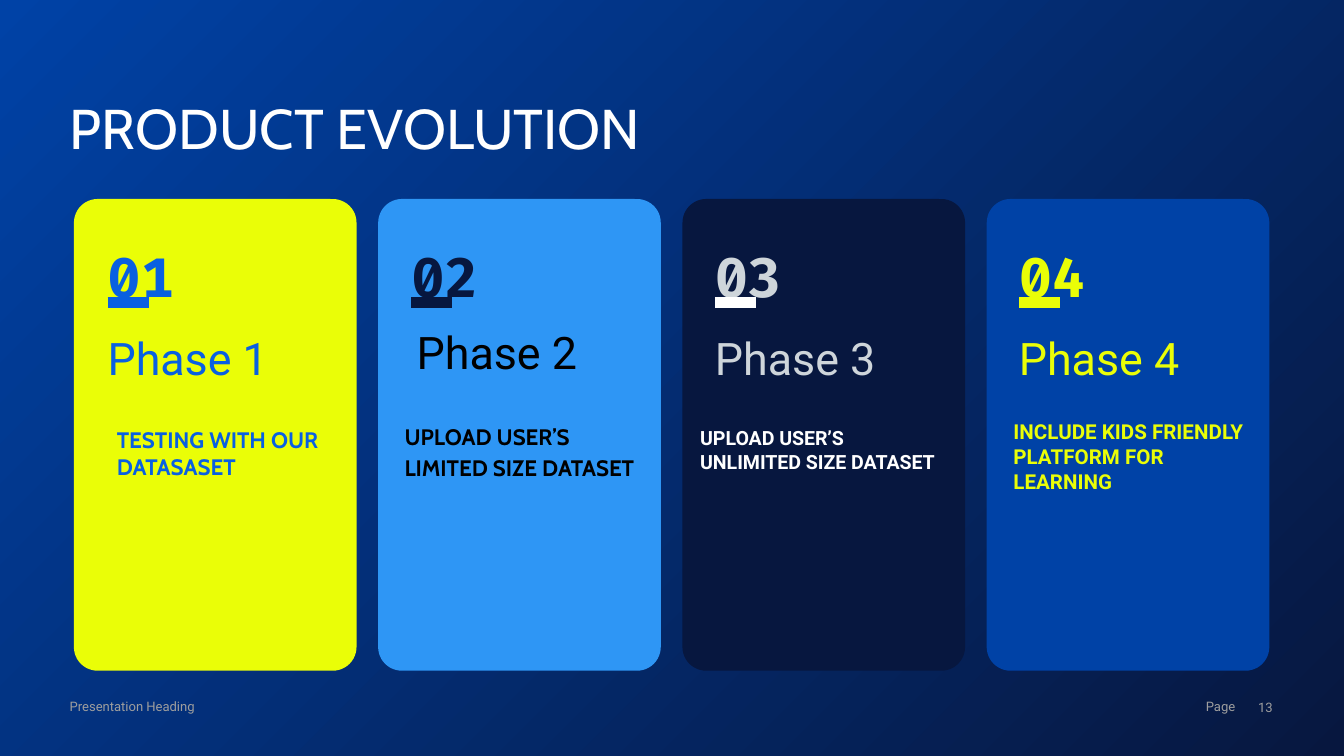
from lxml import etree
from pptx import Presentation
from pptx.dml.color import RGBColor
from pptx.enum.shapes import MSO_CONNECTOR, MSO_SHAPE
from pptx.enum.text import MSO_ANCHOR, PP_ALIGN
from pptx.oxml.ns import qn
from pptx.util import Pt

LINE, CARD = MSO_CONNECTOR.STRAIGHT, MSO_SHAPE.ROUNDED_RECTANGLE
TOP, MID = MSO_ANCHOR.TOP, MSO_ANCHOR.MIDDLE
LEFT, RIGHT = PP_ALIGN.LEFT, PP_ALIGN.RIGHT

HEX = {
    "lime": "EAFE07", "sky": "2E96F5", "navy": "07173F", "royal": "0042A6",
    "blue": "0960E1", "pale": "CED5DA", "white": "FFFFFF", "black": "000000",
    "gray": "9E9E9E",
}
RGB = {name: RGBColor.from_string(code) for name, code in HEX.items()}


def write(box, text, font, size, color, bold=False, align=LEFT, gap=1.0,
          anchor=TOP, pad=(0, 0)):
    """Fill a box with one styled paragraph; pad is top and bottom inset."""
    frame = box.text_frame
    look = {"word_wrap": True, "vertical_anchor": anchor,
            "margin_left": 0, "margin_right": 0,
            "margin_top": Pt(pad[0]), "margin_bottom": Pt(pad[1])}
    for key, value in look.items():
        setattr(frame, key, value)
    para = frame.paragraphs[0]
    para.alignment, para.line_spacing = align, gap
    run = para.add_run()
    run.text = text
    for key, value in {"name": font, "size": Pt(size), "bold": bold}.items():
        setattr(run.font, key, value)
    run.font.color.rgb = RGB[color]


def label(x, y, w, h, *args, **style):
    box = slide.shapes.add_textbox(Pt(x), Pt(y), Pt(w), Pt(h))
    write(box, *args, **style)


deck = Presentation()
deck.slide_width, deck.slide_height = Pt(720), Pt(405)
slide = deck.slides.add_slide(deck.slide_layouts[5])

# Background
fill = slide.background.fill
fill.gradient()
fill.gradient_angle = 315
for stop, color in zip(fill.gradient_stops, ("royal", "navy")):
    stop.color.rgb = RGB[color]

# Title
title = slide.shapes.title
title.left, title.top, title.width, title.height = Pt(37.4), Pt(56.9), Pt(515), Pt(29)
write(title, "PRODUCT EVOLUTION", "Cabin", 30, "white", gap=0.8)

# Footer
foot = ("Roboto", 7, "gray")
label(37.4, 374.4, 196.6, 8.6, "Presentation Heading", *foot)
label(636.5, 374.4, 25.2, 8.6, "Page", *foot, align=RIGHT)
label(666, 374.4, 15.8, 9.4, "13", *foot, align=RIGHT, anchor=MID)

# Cards: fill, number colour, bar colour, phase colour, number x, phase x and y
cards = [
    ("lime", "blue", "blue", "blue", 57.6, 57.6, 177.1),
    ("sky", "navy", "navy", "black", 220.4, 223.2, 174.2),
    ("navy", "pale", "white", "pale", 383, 383, 177.1),
    ("royal", "lime", "lime", "lime", 545.8, 545.8, 177.1),
]
# Notes: x, y, width, text, font, size, colour, extra format
notes = [
    (62.6, 228.2, 123.8, "TESTING WITH OUR DATASASET", "Cabin", 12, "blue", {}),
    (216.7, 220.3, 123.8, "UPLOAD USER’S LIMITED SIZE DATASET", "Cabin", 12,
     "black", {"gap": 1.15, "pad": (4.3, 2.9)}),
    (375.1, 228.2, 133.2, "UPLOAD USER’S UNLIMITED SIZE DATASET", "Roboto", 10.5,
     "white", {}),
    (542.9, 224.6, 123.8, "INCLUDE KIDS FRIENDLY PLATFORM FOR LEARNING", "Roboto",
     11, "lime", {}),
]
for i, (back, ink, tint, tone, x, px, py) in enumerate(cards):
    card = slide.shapes.add_shape(CARD, Pt(39.6 + 163 * i), Pt(106.6), Pt(151.4), Pt(252.7))
    card.adjustments[0] = 0.084
    card.shadow.inherit = False
    card.fill.solid()
    card.fill.fore_color.rgb = RGB[back]
    card.line.fill.background()

    label(x, 114.5, 46.1, 35.3, f"0{i + 1}", "Fira Code", 29, ink, bold=True, gap=1.45)
    bar = slide.shapes.add_connector(LINE, Pt(x), Pt(162), Pt(x + 22), Pt(162))
    bar.line.color.rgb = RGB[tint]
    bar.line.width = Pt(6)
    etree.SubElement(bar.line._get_or_add_ln().getparent(), qn("a:effectLst"))

    label(px, py, 121.7, 29, f"Phase {i + 1}", "Roboto", 24, tone)
    nx, ny, width, text, font, size, color, more = notes[i]
    label(nx, ny, width, 39.6, text, font, size, color, bold=True, **more)

deck.save("out.pptx")
